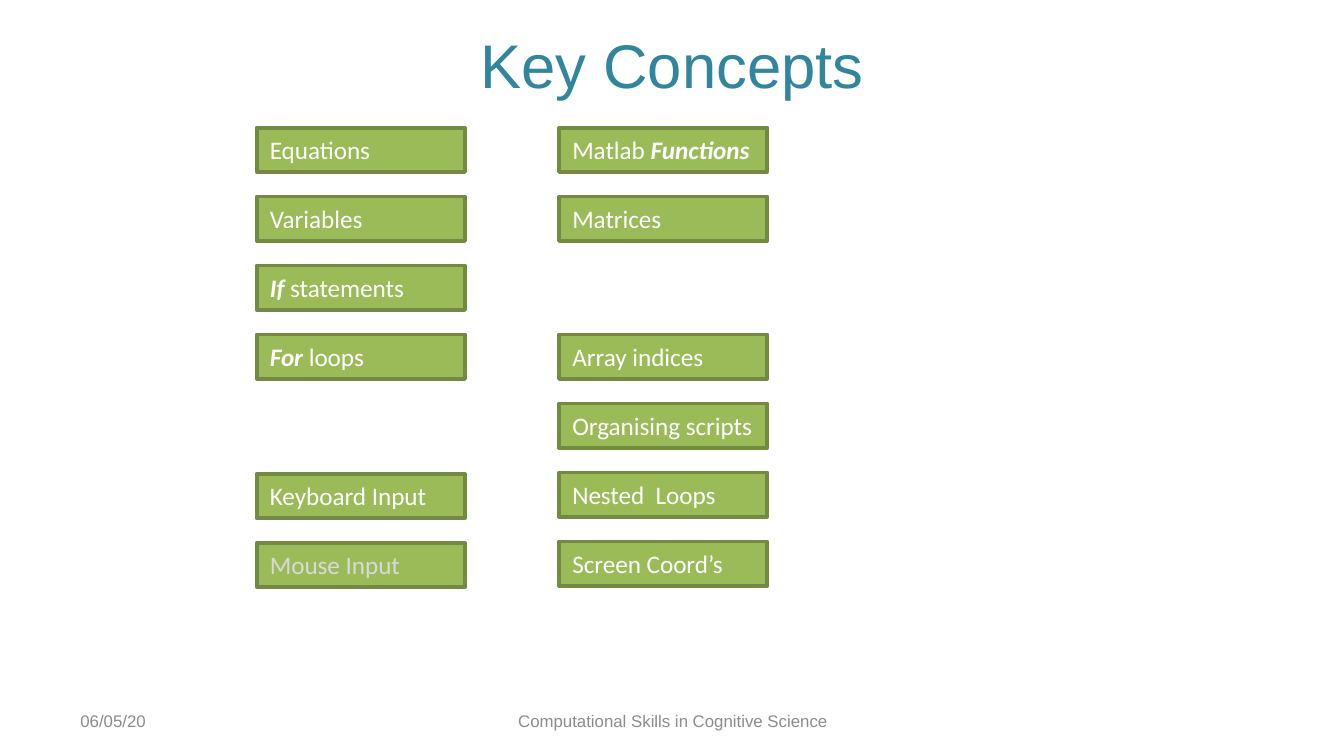
from dataclasses import dataclass
from typing import Any, NamedTuple

from pptx import Presentation
from pptx.dml.color import RGBColor
from pptx.enum import shapes, text
from pptx.util import Inches, Pt


@dataclass(frozen=True)
class Theme:
    title: RGBColor = RGBColor(0x31, 0x85, 0x9C)
    footer: RGBColor = RGBColor(0x8C, 0x8C, 0x8C)
    box: RGBColor = RGBColor(0x9B, 0xBB, 0x59)
    border: RGBColor = RGBColor(0x73, 0x8A, 0x42)
    label: RGBColor = RGBColor(0xFF, 0xFF, 0xFF)
    faded: RGBColor = RGBColor(0xD9, 0xD9, 0xD9)
    heading_font: str = "Arial"
    label_font: str = "Calibri"
    title_size: float = 33
    label_size: float = 13.5
    footer_size: float = 9


class Run(NamedTuple):
    words: str
    strong: bool = False


class Concept(NamedTuple):
    column: int
    row: int
    runs: list[Run]
    color: RGBColor = Theme.label
    nudge: float = 0


class Caption(NamedTuple):
    words: str
    area: tuple[float, float, float, float]
    size: float
    color: RGBColor
    align: Any


THEME = Theme()
SLIDE_WIDTH = 10
SLIDE_HEIGHT = SLIDE_WIDTH * 9 / 16

# Grid of concept boxes: two columns, seven evenly spaced rows
COLUMNS = (1.91, 4.16)
FIRST_ROW, LAST_ROW, ROWS = 0.95, 4.03, 7
ROW_PITCH = (LAST_ROW - FIRST_ROW) / (ROWS - 1)
BOX_WIDTH, BOX_HEIGHT = 1.55, 0.33
INPUT_NUDGE = 0.01

CONCEPTS = [
    Concept(0, 2, [Run("If", True), Run(" statements")]),
    Concept(0, 3, [Run("For ", True), Run("loops")]),
    Concept(0, 0, [Run("Equations")]),
    Concept(0, 1, [Run("Variables")]),
    Concept(1, 0, [Run("Matlab "), Run("Functions", True)]),
    Concept(1, 1, [Run("Matrices")]),
    Concept(1, 3, [Run("Array indices")]),
    Concept(1, 4, [Run("Organising scripts")]),
    Concept(0, 5, [Run("Keyboard Input")], nudge=INPUT_NUDGE),
    Concept(0, 6, [Run("Mouse Input")], THEME.faded, INPUT_NUDGE),
    Concept(1, 5, [Run("Nested  Loops")]),
    Concept(1, 6, [Run("Screen Coord’s")]),
]

CAPTIONS = [
    Caption("Key Concepts", (1.25, 0, 7.5, 0.95),
            THEME.title_size, THEME.title, text.PP_ALIGN.CENTER),
    Caption("06/05/20", (0.5, 5.21, 2.33, 0.3),
            THEME.footer_size, THEME.footer, text.PP_ALIGN.LEFT),
    Caption("Computational Skills in Cognitive Science", (3.42, 5.21, 3.17, 0.3),
            THEME.footer_size, THEME.footer, text.PP_ALIGN.CENTER),
]


def add_run(paragraph: Any, run: Run, color: RGBColor, name: str, size: float) -> None:
    written = paragraph.add_run()
    written.text = run.words
    formats = {"name": name, "size": Pt(size), "bold": run.strong, "italic": run.strong}
    for attribute, value in formats.items():
        setattr(written.font, attribute, value)
    written.font.color.rgb = color


def add_caption(slide: Any, caption: Caption) -> None:
    frame = slide.shapes.add_textbox(*map(Inches, caption.area)).text_frame
    frame.word_wrap = True
    frame.vertical_anchor = text.MSO_ANCHOR.MIDDLE
    line = frame.paragraphs[0]
    line.alignment = caption.align
    add_run(line, Run(caption.words), caption.color, THEME.heading_font, caption.size)


def add_concept(slide: Any, concept: Concept) -> None:
    box = slide.shapes.add_shape(
        shapes.MSO_SHAPE.RECTANGLE,
        Inches(COLUMNS[concept.column]),
        Inches(FIRST_ROW + concept.row * ROW_PITCH + concept.nudge),
        Inches(BOX_WIDTH), Inches(BOX_HEIGHT))
    box.shadow.inherit = False
    box.fill.solid()
    box.fill.fore_color.rgb = THEME.box
    box.line.color.rgb = THEME.border
    box.line.width = Pt(2)
    formats = {"word_wrap": True, "vertical_anchor": text.MSO_ANCHOR.TOP,
               "auto_size": text.MSO_AUTO_SIZE.SHAPE_TO_FIT_TEXT}
    for attribute, value in formats.items():
        setattr(box.text_frame, attribute, value)
    label = box.text_frame.paragraphs[0]
    label.alignment = text.PP_ALIGN.LEFT
    for run in concept.runs:
        add_run(label, run, concept.color, THEME.label_font, THEME.label_size)


def main() -> None:
    deck = Presentation()
    deck.slide_width, deck.slide_height = Inches(SLIDE_WIDTH), Inches(SLIDE_HEIGHT)
    slide = deck.slides.add_slide(deck.slide_layouts[6])

    # Title and footer
    for caption in CAPTIONS:
        add_caption(slide, caption)

    # Concept boxes
    for concept in CONCEPTS:
        add_concept(slide, concept)

    deck.save("out.pptx")


if __name__ == "__main__":
    main()
